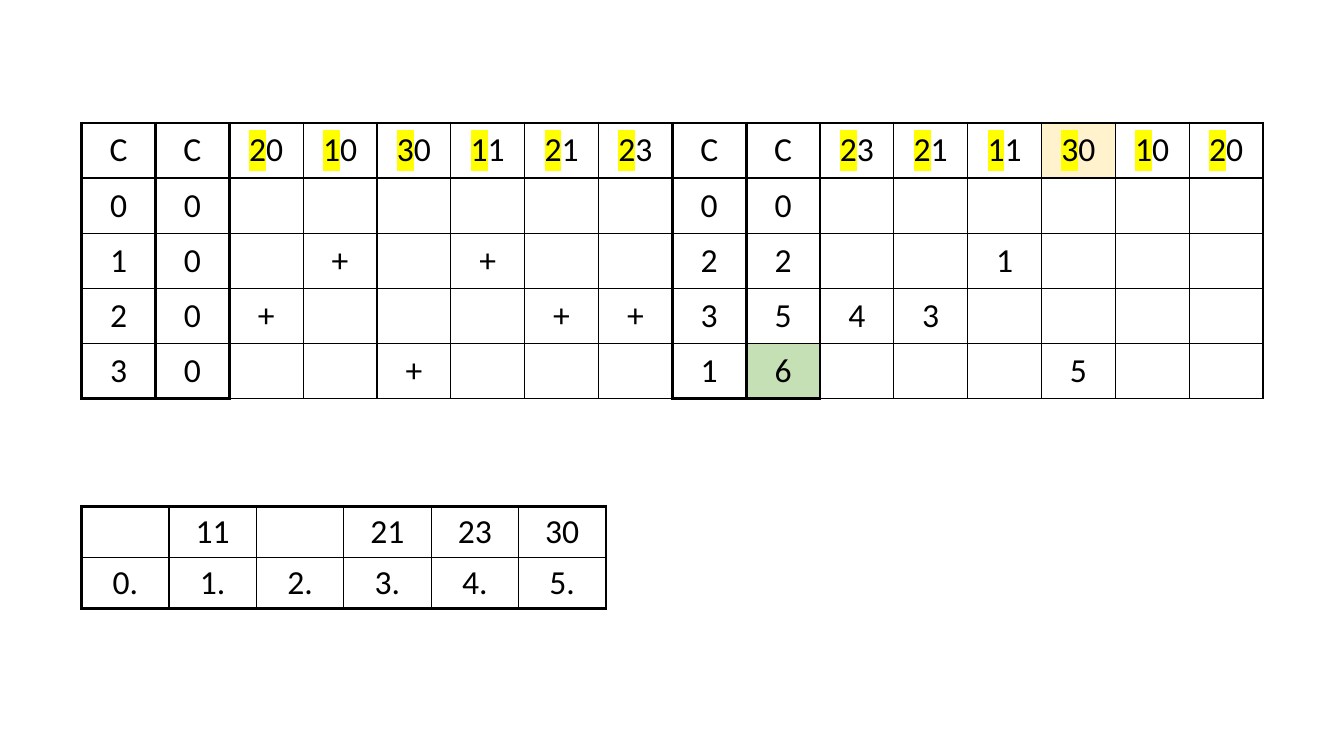
import dataclasses

import pptx
import pptx.dml.color
import pptx.enum.text
import pptx.oxml
import pptx.oxml.ns
import pptx.util


@dataclasses.dataclass(frozen=True)
class Theme:
    font: str = "Calibri"
    size: int = 24
    ink: str = "000000"
    highlight: str = "FFFF00"
    current: str = "FFF2CC"
    result: str = "C5E0B4"
    thin: float = 1
    heavy: float = 2.25


class SlideBuilder:
    """Places tables on a grid of 16 columns; positions count from its origin."""
    LEFT, TOP = 0.81, 1.22
    COLUMN, ROW = 11.72 / 16, 0.54

    def __init__(self, presentation, theme):
        self.theme = theme
        self.slide = presentation.slides.add_slide(presentation.slide_layouts[6])

    def table(self, rows, top, column_span, row_span, insets, heavy_sides, fills=None):
        """Draw rows; heavy_sides(row, column) names the thick sides of a cell."""
        fills = fills or {}
        width = pptx.util.Inches(column_span * self.COLUMN)
        height = pptx.util.Inches(row_span * self.ROW)
        row_count, column_count = len(rows), len(rows[0])
        table = self.slide.shapes.add_table(
            row_count, column_count, pptx.util.Inches(self.LEFT),
            pptx.util.Inches(self.TOP + top * self.ROW),
            width * column_count, height * row_count).table
        table.first_row = table.horz_banding = False
        for column in table.columns:
            column.width = width
        for row in table.rows:
            row.height = height
        for row, texts in enumerate(rows):
            for column, text in enumerate(texts):
                cell = table.cell(row, column)
                self.borders(cell, heavy_sides(row, column))
                self.fill(cell, fills.get((row, column)))
                self.text(cell, text, insets)

    def borders(self, cell, heavy):
        properties = cell._tc.get_or_add_tcPr()
        for side in "LRTB":
            points = self.theme.heavy if side in heavy else self.theme.thin
            properties.append(pptx.oxml.parse_xml(
                f'<a:ln{side} {pptx.oxml.ns.nsdecls("a")} w="{pptx.util.Pt(points)}">'
                f'<a:solidFill><a:srgbClr val="{self.theme.ink}"/></a:solidFill>'
                f'</a:ln{side}>'))

    def fill(self, cell, colour):
        if colour:
            cell.fill.solid()
            cell.fill.fore_color.rgb = pptx.dml.color.RGBColor.from_string(colour)
        else:
            cell.fill.background()

    def text(self, cell, text, insets):
        """Write the text; in "a|b" the part before the bar is highlighted."""
        cell.vertical_anchor = pptx.enum.text.MSO_ANCHOR.MIDDLE
        cell.margin_left = cell.margin_right = pptx.util.Inches(insets[0])
        cell.margin_top = cell.margin_bottom = pptx.util.Inches(insets[1])
        paragraph = cell.text_frame.paragraphs[0]
        paragraph.alignment = pptx.enum.text.PP_ALIGN.CENTER
        paragraph.font.name = self.theme.font
        paragraph.font.size = pptx.util.Pt(self.theme.size)
        paragraph.font.color.rgb = pptx.dml.color.RGBColor.from_string(self.theme.ink)
        marked, bar, plain = text.rpartition("|")
        if marked:
            run = paragraph.add_run()
            run.text = marked
            run._r.get_or_add_rPr().append(pptx.oxml.parse_xml(
                f'<a:highlight {pptx.oxml.ns.nsdecls("a")}>'
                f'<a:srgbClr val="{self.theme.highlight}"/></a:highlight>'))
        if plain:
            paragraph.add_run().text = plain


COUNTER_COLUMNS = {0, 1, 8, 9}
KEYS = ["2|0", "1|0", "3|0", "1|1", "2|1", "2|3"]
SORT_ROWS = [
    ["C", "C", *KEYS, "C", "C", *reversed(KEYS)],
    ["0", "0", "", "", "", "", "", "", "0", "0", "", "", "", "", "", ""],
    ["1", "0", "", "+", "", "+", "", "", "2", "2", "", "", "1", "", "", ""],
    ["2", "0", "+", "", "", "", "+", "+", "3", "5", "4", "3", "", "", "", ""],
    ["3", "0", "", "", "+", "", "", "", "1", "6", "", "", "", "5", "", ""],
]
OUTPUT_ROWS = [
    ["", "11", "", "21", "23", "30"],
    [f"{index}." for index in range(6)],
]


def sort_heavy_sides(row, column):
    counter = column in COUNTER_COLUMNS
    sides = {
        "L": counter or column - 1 in COUNTER_COLUMNS,
        "R": counter or column + 1 in COUNTER_COLUMNS or (row, column) == (0, 15),
        "T": row <= 1,
        "B": row == 0 or (counter and row == len(SORT_ROWS) - 1),
    }
    return {side for side, heavy in sides.items() if heavy}


def frame_heavy_sides(row, column):
    sides = {"L": column == 0, "R": column == len(OUTPUT_ROWS[0]) - 1,
             "T": row == 0, "B": row == len(OUTPUT_ROWS) - 1}
    return {side for side, heavy in sides.items() if heavy}


def main():
    presentation = pptx.Presentation()
    presentation.slide_width = pptx.util.Inches(13.33)
    presentation.slide_height = pptx.util.Inches(7.5)
    theme = Theme()
    builder = SlideBuilder(presentation, theme)

    # Sorted output array
    builder.table(OUTPUT_ROWS, top=7.04, column_span=7.1 / 6, row_span=0.93,
                  insets=(0.1, 0.05), heavy_sides=frame_heavy_sides)

    # Counting table: counters before and after, with the keys
    builder.table(SORT_ROWS, top=0, column_span=1, row_span=1,
                  insets=(0.13, 0.07), heavy_sides=sort_heavy_sides,
                  fills={(0, 13): theme.current, (4, 9): theme.result})

    presentation.save("out.pptx")


if __name__ == "__main__":
    main()
